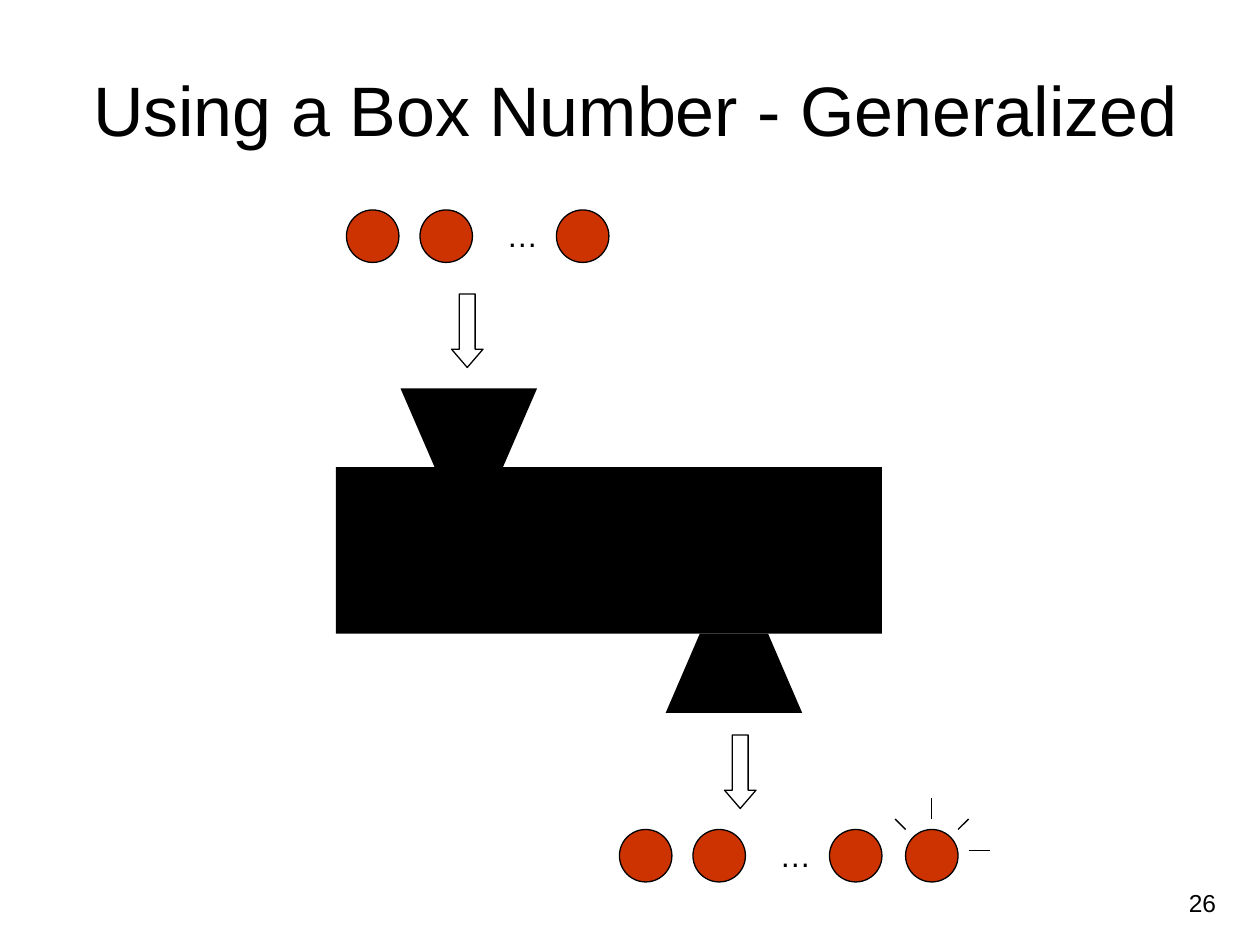
"""Build the generalized box number slide on a grid of twelve cells to the inch."""
from typing import NamedTuple

from lxml import etree
from pptx import Presentation
from pptx import util as u
from pptx.dml.color import RGBColor
from pptx.enum import shapes, text
from pptx.oxml.ns import qn

BLACK = RGBColor(0x00, 0x00, 0x00)
BALL_RED = RGBColor(0xCC, 0x33, 0x00)
CELL = u.Inches(1) / 12
BALL_SIZE = 5


class Area(NamedTuple):
    column: float
    row: float
    columns: float
    rows: float


class Funnel(NamedTuple):
    column: float
    wide_row: float
    narrow_row: float


class Ray(NamedTuple):
    start: tuple[float, float]
    end: tuple[float, float]


class Flow(NamedTuple):
    column: float
    ball_row: float
    arrow_row: float


BOX = Area(32, 44.5, 52, 15.85)
TITLE = Area(3, 3.6, 115, 13.4)
PAGE_NUMBER = Area(89, 84, 28, 4.2)
FUNNELS = [Funnel(38.15, 37, 44.5), Funnel(63.4, 67.9, 60.35)]
FLOWS = [Flow(33, 20, 28), Flow(59, 79, 70)]
BALL_OFFSETS = (0, 7, 20)
RESULT_BALL = (86.25, 79)
RAYS = [
    Ray((88.7, 78), (88.7, 76)),
    Ray((91.25, 79), (92.25, 78)),
    Ray((92.25, 81), (94.25, 81)),
    Ray((86.25, 79), (85.25, 78)),
]


def cells(*counts: float) -> list[u.Emu]:
    """Turn cell counts into lengths."""
    return [u.Emu(round(count * CELL)) for count in counts]


def outline(line) -> None:
    """Give a thin black line."""
    line.color.rgb = BLACK
    line.width = u.Pt(0.75)


def write(shape, words: str, size: float, alignment) -> None:
    """Fill a shape with one formatted paragraph."""
    shape.text_frame.text = words
    paragraph = shape.text_frame.paragraphs[0]
    paragraph.alignment = alignment
    font = paragraph.runs[0].font
    font.name, font.size, font.color.rgb = "Arial", u.Pt(size), BLACK


def add_label(slide, area: Area, words: str, size: float, alignment, wrap: bool) -> None:
    """Add a text box."""
    label = slide.shapes.add_textbox(*cells(*area))
    label.text_frame.word_wrap = wrap
    if not wrap:
        label.text_frame.auto_size = text.MSO_AUTO_SIZE.SHAPE_TO_FIT_TEXT
    write(label, words, size, alignment)


def add_solid(shape) -> None:
    """Paint a shape plain black."""
    shape.shadow.inherit = False
    shape.fill.solid()
    shape.fill.fore_color.rgb = BLACK
    shape.line.fill.background()


def add_funnel(slide, funnel: Funnel) -> None:
    """Draw a funnel that narrows towards the box."""
    corners = [(0, funnel.wide_row), (13, funnel.wide_row),
               (9.75, funnel.narrow_row), (3.25, funnel.narrow_row)]
    points = [cells(funnel.column + offset, row) for offset, row in corners]
    builder = slide.shapes.build_freeform(*points[0])
    builder.add_line_segments(points[1:], close=True)
    add_solid(builder.convert_to_shape())


def add_ball(slide, column: float, row: float) -> None:
    """Draw one ball."""
    ball = slide.shapes.add_shape(
        shapes.MSO_SHAPE.OVAL, *cells(column, row, BALL_SIZE, BALL_SIZE))
    ball.shadow.inherit = False
    ball.fill.solid()
    ball.fill.fore_color.rgb = BALL_RED
    outline(ball.line)


def add_flow(slide, flow: Flow) -> None:
    """Draw a row of balls with its ellipsis and arrow."""
    for offset in BALL_OFFSETS:
        add_ball(slide, flow.column + offset, flow.ball_row)
    add_label(slide, Area(flow.column + 14.05, flow.ball_row, 5.4, 4.85),
              "…", 18, text.PP_ALIGN.CENTER, False)
    arrow = slide.shapes.add_shape(
        shapes.MSO_SHAPE.DOWN_ARROW, *cells(flow.column + 10, flow.arrow_row, 3, 7))
    arrow.adjustments[1] = 0.58
    arrow.shadow.inherit = False
    arrow.fill.background()
    outline(arrow.line)


def add_ray(slide, ray: Ray) -> None:
    """Draw one short line beside the result ball."""
    connector = slide.shapes.add_connector(
        shapes.MSO_CONNECTOR.STRAIGHT, *cells(*ray.start, *ray.end))
    outline(connector.line)
    etree.SubElement(connector._element.spPr, qn("a:effectLst"))


def main() -> None:
    """Build and save the slide."""
    presentation = Presentation()
    presentation.slide_width, presentation.slide_height = cells(120, 90)
    slide = presentation.slides.add_slide(presentation.slide_layouts[5])
    title = slide.shapes.title
    title.left, title.top, title.width, title.height = cells(*TITLE)
    title.text_frame.vertical_anchor = text.MSO_ANCHOR.MIDDLE
    write(title, "Using a Box Number - Generalized", 40, text.PP_ALIGN.CENTER)
    add_solid(slide.shapes.add_shape(shapes.MSO_SHAPE.RECTANGLE, *cells(*BOX)))
    for funnel in FUNNELS:
        add_funnel(slide, funnel)
    for flow in FLOWS:
        add_flow(slide, flow)
    add_ball(slide, *RESULT_BALL)
    for ray in RAYS:
        add_ray(slide, ray)
    add_label(slide, PAGE_NUMBER, "26", 14, text.PP_ALIGN.RIGHT, True)
    presentation.save("out.pptx")


if __name__ == "__main__":
    main()
